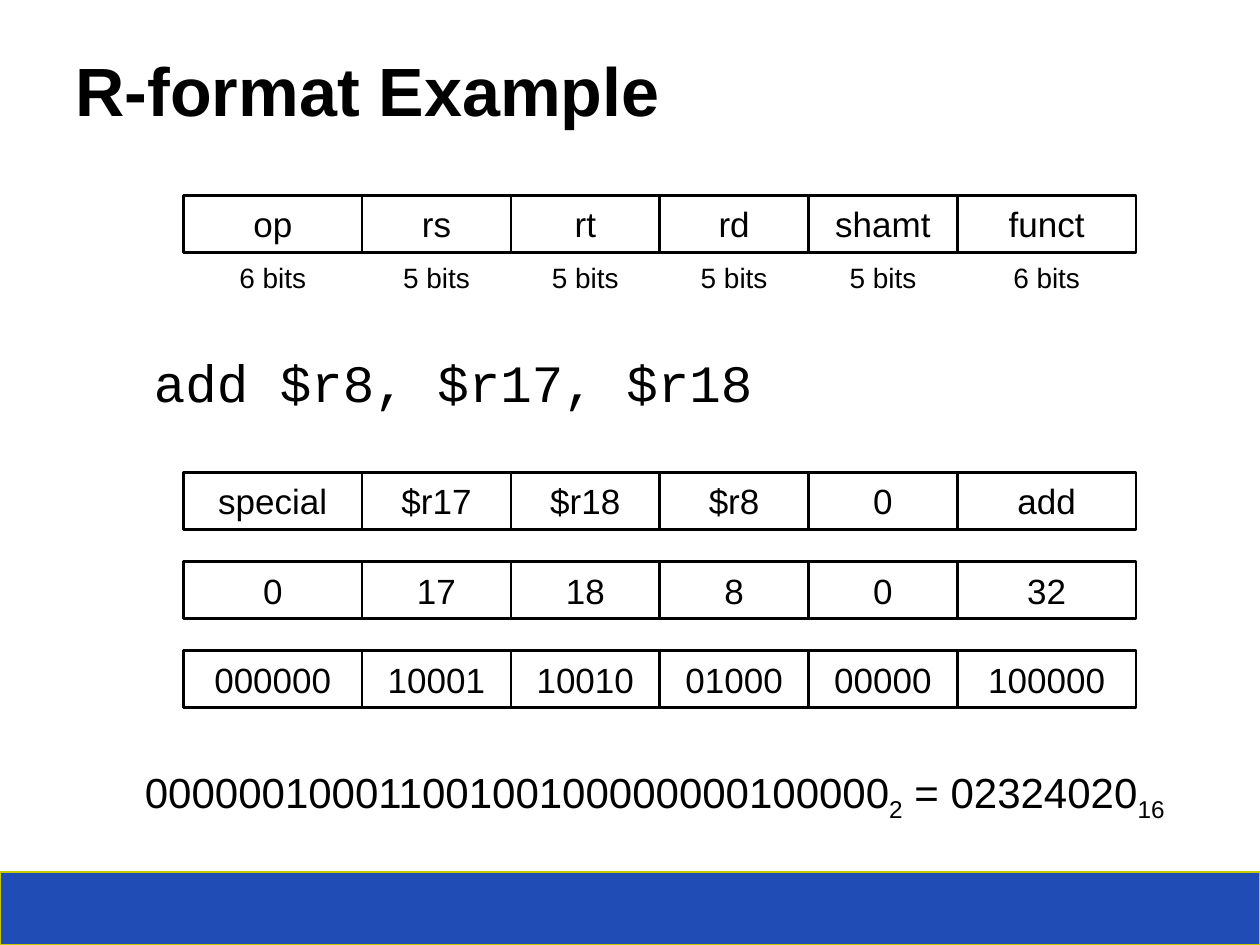
from pptx import Presentation
from pptx.dml.color import RGBColor
from pptx.enum.shapes import MSO_SHAPE
from pptx.enum.text import MSO_ANCHOR, MSO_AUTO_SIZE, PP_ALIGN
from pptx.util import Cm, Pt

RECT = MSO_SHAPE.RECTANGLE
LEFT, CENTER = PP_ALIGN.LEFT, PP_ALIGN.CENTER
TOP, MIDDLE, BOTTOM = MSO_ANCHOR.TOP, MSO_ANCHOR.MIDDLE, MSO_ANCHOR.BOTTOM
BLACK = RGBColor(0x00, 0x00, 0x00)
BLUE = RGBColor(0x20, 0x4D, 0xB5)
YELLOW = RGBColor(0xC8, 0xC8, 0x00)

# Content
TITLE = "R-format Example"
INSTRUCTION = "add $r8, $r17, $r18"
FIELD_BITS = [6, 5, 5, 5, 5, 6]
ROWS = [  # top in cm, one text per field
    (3.94, ["op", "rs", "rt", "rd", "shamt", "funct"]),
    (9.52, ["special", "$r17", "$r18", "$r8", "0", "add"]),
    (11.32, ["0", "17", "18", "8", "0", "32"]),
    (13.12, ["000000", "10001", "10010", "01000", "00000", "100000"]),
]
RESULT = [  # text, is subscript
    ("00000010001100100100000000100000", False), ("2", True),
    (" = 02324020", False), ("16", True),
]

# Layout in cm
WIDTH, HEIGHT = 25.4, 19.05
BAR_TOP = 17.58
FIELDS_LEFT, BIT_WIDTH, ROW_HEIGHT = 3.7, 0.6, 1.15
LABEL_TOP, LABEL_HEIGHT = 5.13, 0.94


def place(sp, left, top, width, height):
    sp.left, sp.top, sp.width, sp.height = Cm(left), Cm(top), Cm(width), Cm(height)


def write(sp, runs, size, font="Arial", align=CENTER, anchor=TOP, bold=False):
    tf = sp.text_frame
    tf.word_wrap = True
    tf.auto_size = MSO_AUTO_SIZE.NONE
    tf.vertical_anchor = anchor
    p = tf.paragraphs[0]
    p.alignment = align
    for text, subscript in runs:
        r = p.add_run()
        r.text = text
        r.font.name, r.font.size, r.font.bold = font, Pt(size), bold
        r.font.color.rgb = BLACK
        if subscript:
            r._r.get_or_add_rPr().set("baseline", "-25000")
    return p


def add_box(left, top, width, height, line, line_width, fill=None):
    sp = s.shapes.add_shape(RECT, Cm(left), Cm(top), Cm(width), Cm(height))
    sp.shadow.inherit = False
    sp.line.color.rgb, sp.line.width = line, Pt(line_width)
    if fill is None:
        sp.fill.background()
    else:
        sp.fill.solid()
        sp.fill.fore_color.rgb = fill
    return sp


def add_text(left, top, width, height):
    return s.shapes.add_textbox(Cm(left), Cm(top), Cm(width), Cm(height))


prs = Presentation()
prs.slide_width, prs.slide_height = Cm(WIDTH), Cm(HEIGHT)
s = prs.slides.add_slide(prs.slide_layouts[1])

# Footer bar
add_box(0, BAR_TOP, WIDTH, HEIGHT - BAR_TOP, YELLOW, 0.75, BLUE)

# Title and instruction
title, body = s.shapes.title, s.placeholders[1]
place(title, 1.27, 0.64, 20.75, 2.12)
write(title, [(TITLE, False)], 39, align=LEFT, anchor=BOTTOM, bold=True)
place(body, 1.9, 6.93, 23, 1.8)
p = write(body, [(INSTRUCTION, False)], 30, font="Courier New", align=LEFT)
p.space_before = Pt(6)
pPr = p._p.get_or_add_pPr()
pPr.set("marL", str(Cm(0.95)))
pPr.set("indent", "0")
pPr.insert_element_before(pPr.makeelement(
    "{http://schemas.openxmlformats.org/drawingml/2006/main}buNone", {}), "a:tabLst", "a:defRPr")

# Field rows, each field as wide as its bits
widths = [bits * BIT_WIDTH for bits in FIELD_BITS]
lefts = [FIELDS_LEFT + sum(widths[:i]) for i in range(len(widths))]
for top, texts in ROWS:
    for left, width, text in zip(lefts, widths, texts):
        box = add_box(left, top, width, ROW_HEIGHT, BLACK, 1.5)
        write(box, [(text, False)], 20, anchor=MIDDLE)

# Bit counts under the first row
for left, width, bits in zip(lefts, widths, FIELD_BITS):
    label = add_text(left, LABEL_TOP, width, LABEL_HEIGHT)
    write(label, [(f"{bits} bits", False)], 16)

# Encoded instruction
result = add_text(1.9, 15.32, 22.6, 1.4)
write(result, RESULT, 24).space_before = Pt(5)

prs.save("out.pptx")
